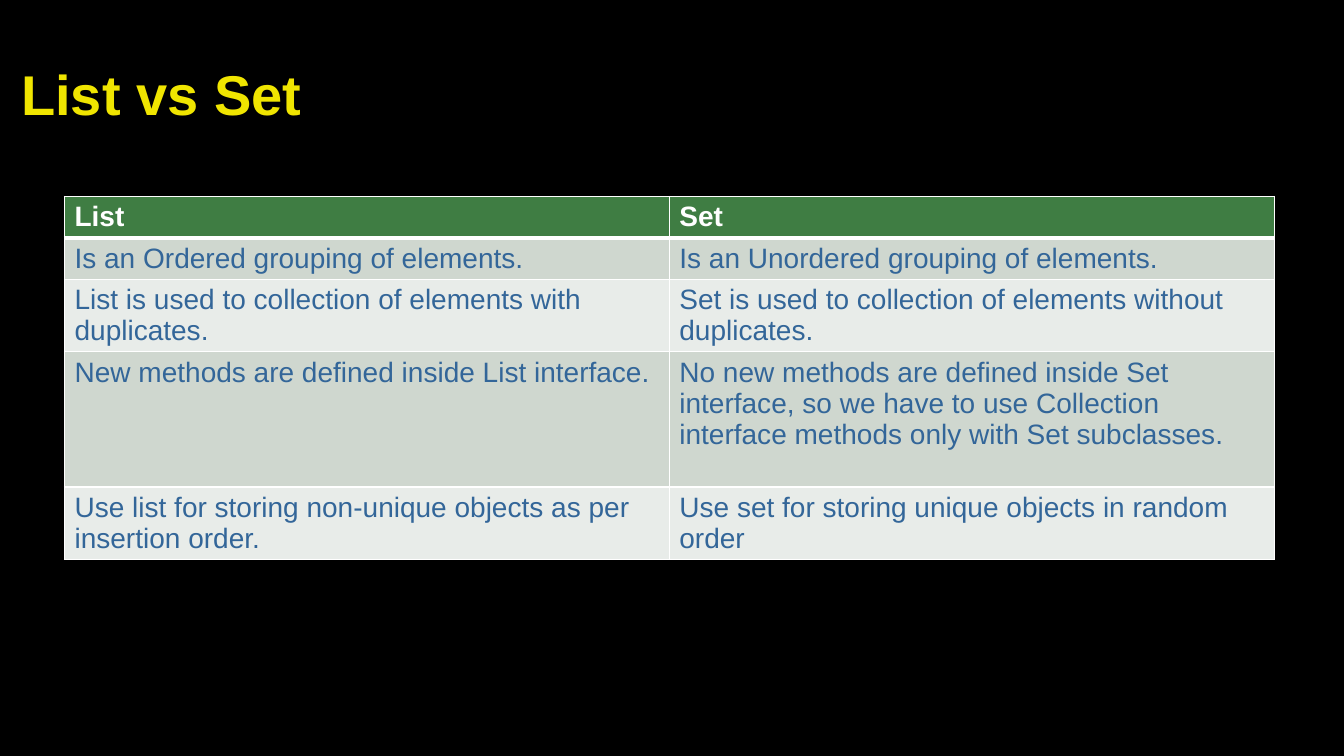
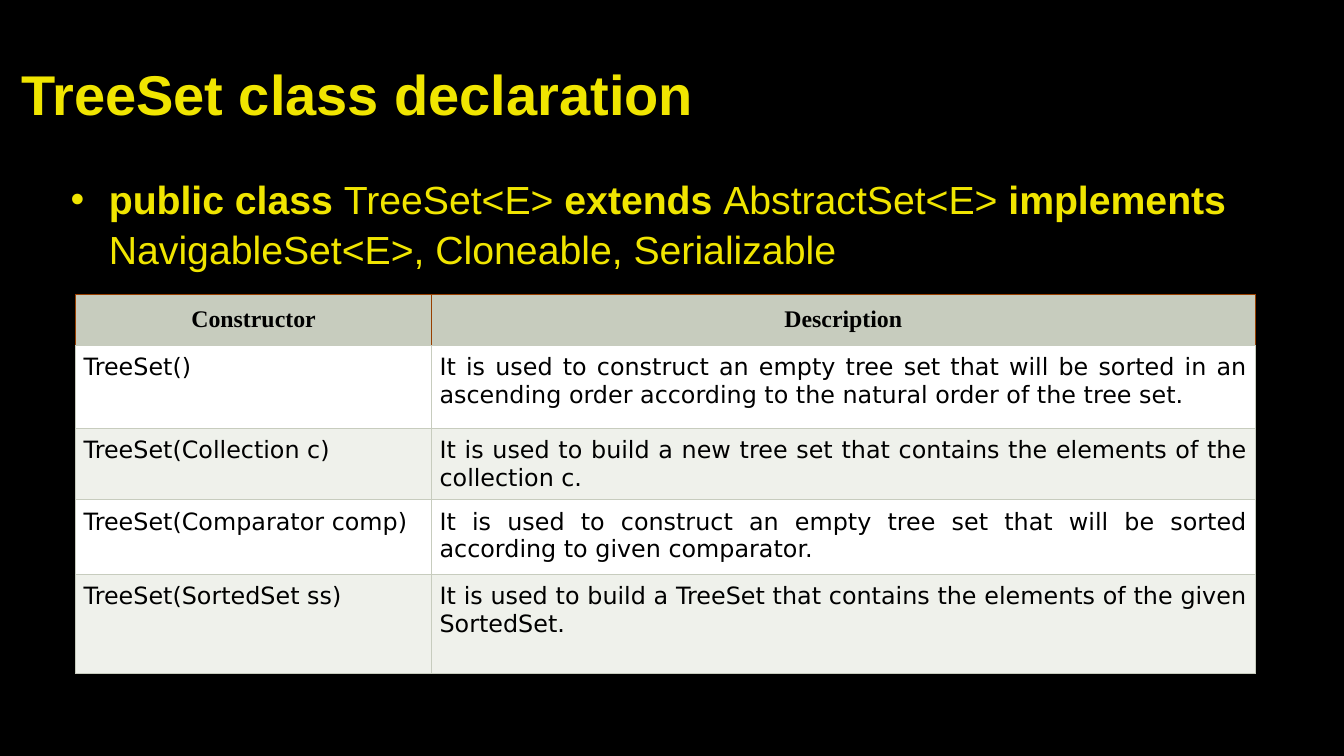
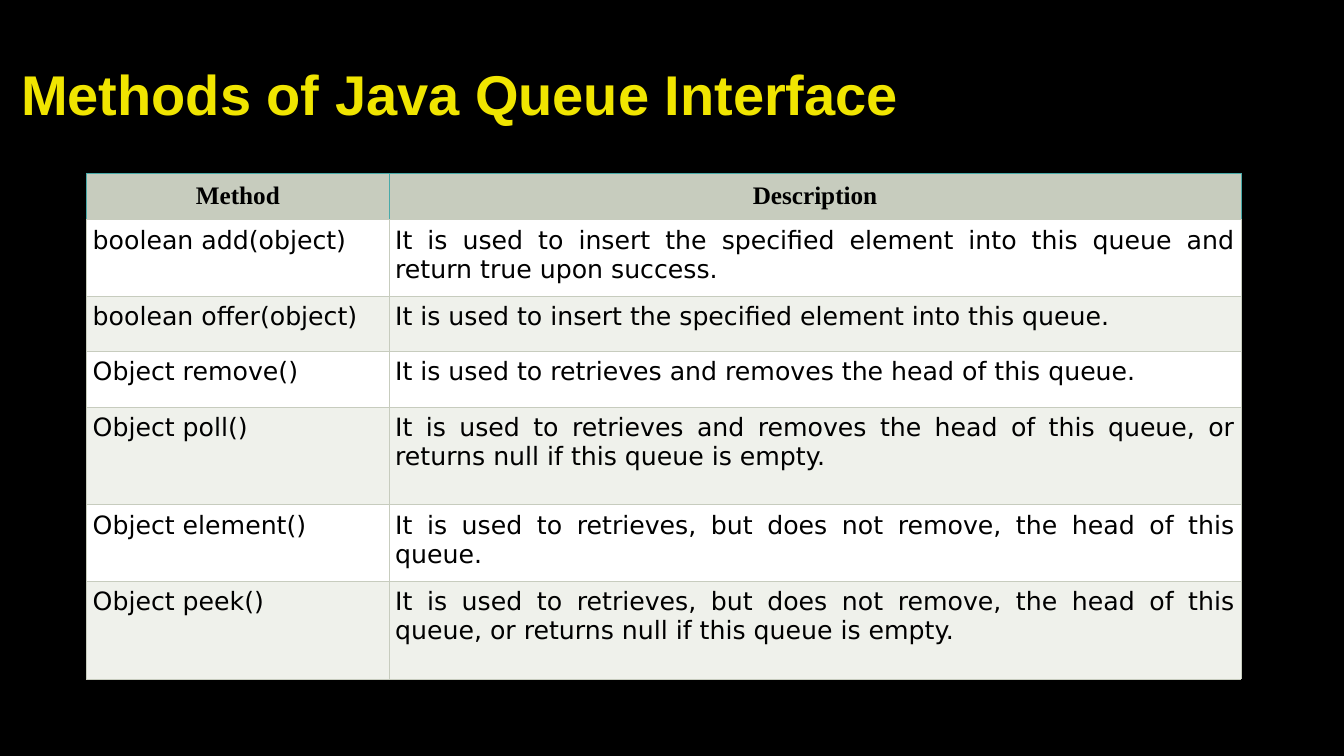
from lxml import etree
from pptx import Presentation
from pptx import util as u
from pptx.dml.color import RGBColor
from pptx.enum import text
from pptx.oxml import ns

HUES = {
    "back": "000000", "title": "F0E500", "white": "FFFFFF", "black": "000000",
    "green": "3F7D43", "mint": "CFD7CF", "pale": "E8ECE9", "blue": "336699",
    "sage": "C7CCBE", "mist": "EFF1EB", "rust": "983F00", "teal": "48AAA9",
}
SANS, SERIF, WIDE = "Arial", "Times New Roman", "DejaVu Sans"
WIDTH, HEIGHT = u.Inches(13.33), u.Inches(7.5)
LEFT, MID, FULL = text.PP_ALIGN.LEFT, text.PP_ALIGN.CENTER, text.PP_ALIGN.JUSTIFY

# Table looks: lines are (colour, points), margins are inches (side, top)
PLAIN = {
    "size": 20, "fonts": (SANS, SANS), "inks": ("white", "blue"),
    "aligns": (LEFT, LEFT), "pads": ((0.1, 0.05), (0.1, 0.05)),
    "head": "green", "bands": ("mint", "pale"),
    "edge": ("white", 1), "rule": ("white", 3), "grid": ("white", 1),
}
SAGE = {
    "size": 17, "fonts": (SERIF, WIDE), "inks": ("black", "black"),
    "aligns": (MID, FULL), "pads": ((0.12, 0.12), (0.08, 0.08)),
    "head": "sage", "bands": ("white", "mist"),
    "edge": ("rust", 0.75), "rule": ("sage", 0.75), "grid": ("sage", 0.75),
}
TEAL = {**SAGE, "size": 18, "pads": ((0.09, 0.09), (0.06, 0.06)),
        "edge": ("teal", 0.75)}

# Table contents
LISTS = [
    ("List", "Set"),
    ("Is an Ordered grouping of elements.",
     "Is an Unordered grouping of elements."),
    ("List is used to collection of elements with duplicates.",
     "Set is used to collection of elements without duplicates."),
    ("New methods are defined inside List interface.",
     "No new methods are defined inside Set interface, so we have to use "
     "Collection interface methods only with Set subclasses."),
    ("Use list for storing non-unique objects as per insertion order.",
     "Use set for storing unique objects in random order"),
]
TREES = [
    ("Constructor", "Description"),
    ("TreeSet()",
     "It is used to construct an empty tree set that will be sorted in an "
     "ascending order according to the natural order of the tree set."),
    ("TreeSet(Collection c)",
     "It is used to build a new tree set that contains the elements of the "
     "collection c."),
    ("TreeSet(Comparator comp)",
     "It is used to construct an empty tree set that will be sorted "
     "according to given comparator."),
    ("TreeSet(SortedSet ss)",
     "It is used to build a TreeSet that contains the elements of the given "
     "SortedSet."),
]
QUEUES = [
    ("Method", "Description"),
    ("boolean add(object)",
     "It is used to insert the specified element into this queue and return "
     "true upon success."),
    ("boolean offer(object)",
     "It is used to insert the specified element into this queue."),
    ("Object remove()",
     "It is used to retrieves and removes the head of this queue."),
    ("Object poll()",
     "It is used to retrieves and removes the head of this queue, or returns "
     "null if this queue is empty."),
    ("Object element()",
     "It is used to retrieves, but does not remove, the head of this queue."),
    ("Object peek()",
     "It is used to retrieves, but does not remove, the head of this queue, "
     "or returns null if this queue is empty."),
]
CODE = [
    ("public class ", True), ("TreeSet<E> ", False), ("extends ", True),
    ("AbstractSet<E> ", False), ("implements ", True),
    ("NavigableSet<E>, Cloneable, Serializable", False),
]


# Lengths as percent of the slide
def across(share):
    return round(WIDTH * share / 100)


def down(share):
    return round(HEIGHT * share / 100)


def place(shape, x, y, w, h):
    shape.left, shape.top = across(x), down(y)
    shape.width, shape.height = across(w), down(h)


def style(run, face, size, hue, bold):
    run.font.name, run.font.size, run.font.bold = face, u.Pt(size), bold
    run.font.color.rgb = RGBColor.from_string(HUES[hue])


# Slide with its title
def start(deck, layout, title):
    slide = deck.slides.add_slide(deck.slide_layouts[layout])
    head = slide.shapes.title
    place(head, 0.83, 4, 90, 16.67)
    frame = head.text_frame
    frame.text = title
    frame.auto_size = text.MSO_AUTO_SIZE.NONE
    frame.vertical_anchor = text.MSO_ANCHOR.MIDDLE
    para = frame.paragraphs[0]
    para.alignment = LEFT
    style(para.runs[0], SANS, 40, "title", True)
    return slide


# Bulleted line with mixed bold
def bullet(slide, parts):
    body = slide.placeholders[1]
    place(body, 4.5, 22.27, 90, 12.93)
    frame = body.text_frame
    frame.auto_size = text.MSO_AUTO_SIZE.NONE
    para = frame.paragraphs[0]
    props = para._p.get_or_add_pPr()
    props.set("marL", str(u.Inches(0.38)))
    props.set("indent", str(-u.Inches(0.38)))
    etree.SubElement(props, ns.qn("a:buChar")).set("char", "•")
    para.space_before, para.line_spacing = u.Pt(0), 1.05
    for words, bold in parts:
        run = para.add_run()
        run.text = words
        style(run, SANS, 28, "title", bold)


# One border of a cell
def border(cell, side, line):
    hue, points = line
    props = cell._tc.get_or_add_tcPr()
    edge = etree.SubElement(props, ns.qn("a:ln" + side), w=str(u.Pt(points)))
    fill = etree.SubElement(edge, ns.qn("a:solidFill"))
    etree.SubElement(fill, ns.qn("a:srgbClr"), val=HUES[hue])


def fill_cell(cell, words, row, look):
    body = min(row, 1)
    line = look["grid"] if body else look["edge"]
    lines = {"L": line, "R": line, "T": line, "B": line}
    if row < 2:
        lines["T" if body else "B"] = look["rule"]
    for side, kind in lines.items():
        border(cell, side, kind)
    hue = look["bands"][(row - 1) % 2] if body else look["head"]
    cell.fill.solid()
    cell.fill.fore_color.rgb = RGBColor.from_string(HUES[hue])
    side, top = look["pads"][body]
    cell.margin_left = cell.margin_right = u.Inches(side)
    cell.margin_top = cell.margin_bottom = u.Inches(top)
    cell.text_frame.text = words
    para = cell.text_frame.paragraphs[0]
    para.alignment = look["aligns"][body]
    style(para.runs[0], look["fonts"][body], look["size"],
          look["inks"][body], not body)


def table(slide, x, y, cols, rows, data, look):
    frame = slide.shapes.add_table(len(rows), len(cols), across(x), down(y),
                                   across(sum(cols)), down(sum(rows)))
    grid = frame.table
    grid.first_row = grid.horz_banding = False
    for col, share in zip(grid.columns, cols):
        col.width = across(share)
    for row, share in zip(grid.rows, rows):
        row.height = down(share)
    for r, line in enumerate(data):
        for c, words in enumerate(line):
            fill_cell(grid.cell(r, c), words, r, look)


def main():
    deck = Presentation()
    deck.slide_width, deck.slide_height = WIDTH, HEIGHT
    back = deck.slide_master.background.fill
    back.solid()
    back.fore_color.rgb = RGBColor.from_string(HUES["back"])

    # List and set
    slide = start(deck, 5, "List vs Set")
    table(slide, 4.8, 26, (45, 45), (5.47, 5.47, 9.6, 17.87, 9.5),
          LISTS, PLAIN)

    # Tree set
    slide = start(deck, 1, "TreeSet class declaration")
    bullet(slide, CODE)
    table(slide, 5.63, 38.93, (26.48, 61.29),
          (6.8, 10.93, 9.33, 9.87, 13.07), TREES, SAGE)

    # Queue
    slide = start(deck, 5, "Methods of Java Queue Interface")
    table(slide, 6.45, 22.93, (22.5, 63.39),
          (6.13, 10.13, 7.33, 7.33, 12.93, 10.13, 12.93), QUEUES, TEAL)

    deck.save("out.pptx")


if __name__ == "__main__":
    main()
